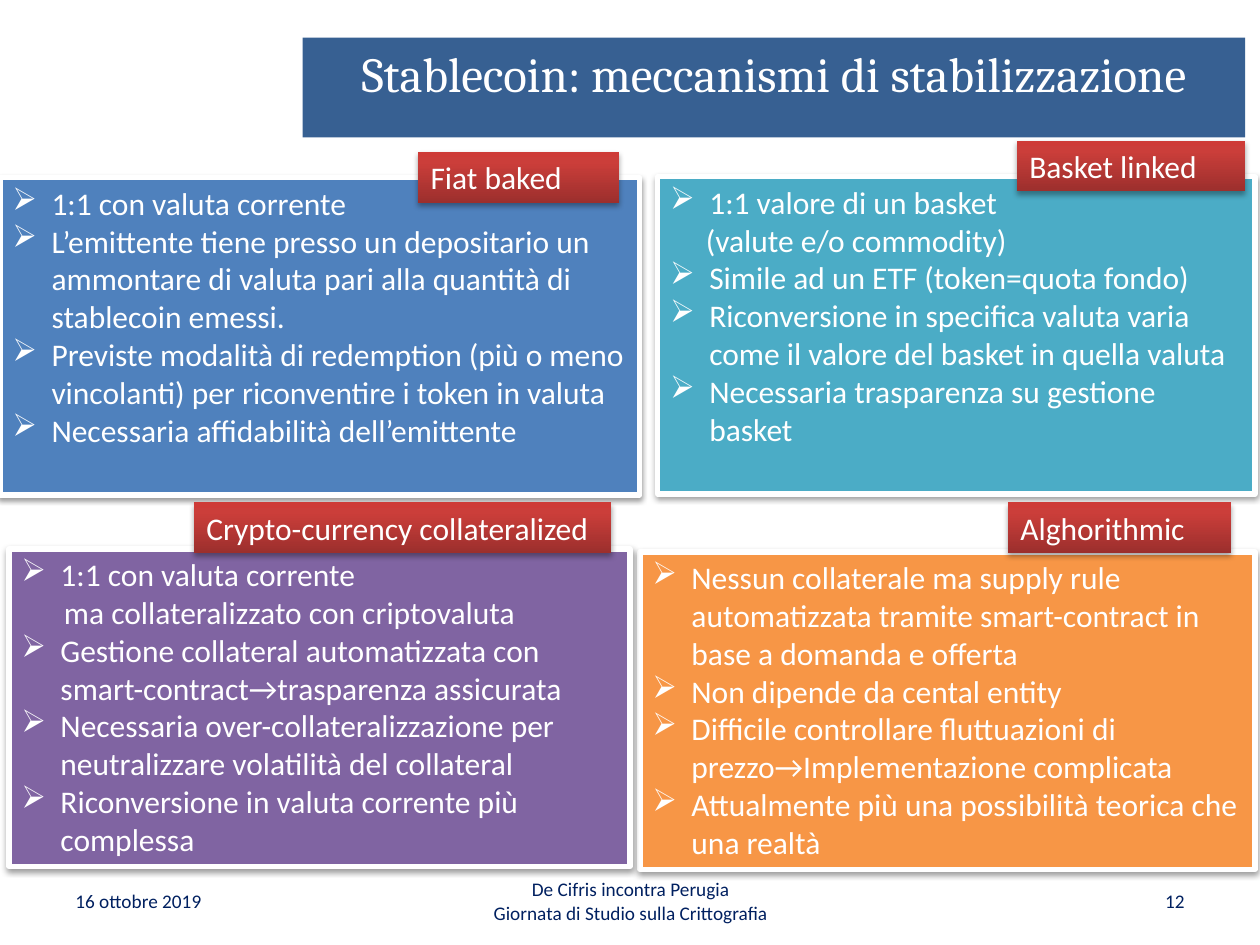
from dataclasses import dataclass

from pptx import Presentation
from pptx.dml.color import RGBColor
from pptx.enum.shapes import MSO_SHAPE
from pptx.enum.text import MSO_ANCHOR, PP_ALIGN
from pptx.oxml import parse_xml
from pptx.oxml.ns import nsdecls, qn
from pptx.util import Cm, Pt


@dataclass(frozen=True)
class Theme:
    white: str = "FFFFFF"
    navy: str = "002060"
    title: str = "376092"
    blue: str = "4F81BD"
    teal: str = "4BACC6"
    purple: str = "8064A2"
    orange: str = "F79646"
    tag_stops: tuple = ((0, "9C2F2D"), (80, "CB3E3A"), (100, "CE3B37"))
    heading_font: str = "Cambria"
    body_font: str = "Calibri"
    title_size: int = 28
    body_size: int = 18
    footer_size: int = 11


T = Theme()
BULLET_INDENT = Cm(0.79)


def add_line(tf, text, size, color, font=T.body_font, align=PP_ALIGN.LEFT):
    """Fill the first paragraph if it is still empty, otherwise add one."""
    p = tf.paragraphs[0]
    if p.runs:
        p = tf.add_paragraph()
    p.alignment = align
    r = p.add_run()
    r.text = text
    r.font.size = Pt(size)
    r.font.name = font
    r.font.color.rgb = RGBColor.from_string(color)
    return p


def add_box(left, top, width, height, fill=None, shadow=None):
    """Add a rectangle; shadow is (distance in EMU, opacity in percent)."""
    sp = s.shapes.add_shape(MSO_SHAPE.RECTANGLE, Cm(left), Cm(top), Cm(width), Cm(height))
    sp.line.fill.background()
    sp.shadow.inherit = False
    if fill:
        sp.fill.solid()
        sp.fill.fore_color.rgb = RGBColor.from_string(fill)
    if shadow:
        dist, opacity = shadow
        sp.element.spPr.find(qn("a:effectLst")).append(parse_xml(
            f'<a:outerShdw {nsdecls("a")} blurRad="40000" dist="{dist}" dir="5400000" '
            f'rotWithShape="0"><a:srgbClr val="000000"><a:alpha val="{opacity * 1000}"/>'
            '</a:srgbClr></a:outerShdw>'))
    sp.text_frame.word_wrap = True
    sp.text_frame.vertical_anchor = MSO_ANCHOR.TOP
    return sp


prs = Presentation()
prs.slide_width, prs.slide_height = Cm(25.4), Cm(19.05)
s = prs.slides.add_slide(prs.slide_layouts[6])

# Title
sp = add_box(6.1, 0.76, 19, 2.01, T.title)
add_line(sp.text_frame, "Stablecoin: meccanismi di stabilizzazione",
         T.title_size, T.white, T.heading_font, PP_ALIGN.CENTER)

# Footer
footers = [
    (1.27, 5.92, PP_ALIGN.LEFT, ["16 ottobre 2019"]),
    (8.69, 8.05, PP_ALIGN.CENTER,
     ["De Cifris incontra Perugia", "Giornata di Studio sulla Crittografia"]),
    (18.21, 5.92, PP_ALIGN.RIGHT, ["12"]),
]
for left, width, align, lines in footers:
    tf = s.shapes.add_textbox(Cm(left), Cm(17.65), Cm(width), Cm(1.02)).text_frame
    tf.word_wrap = True
    tf.vertical_anchor = MSO_ANCHOR.MIDDLE
    for line in lines:
        add_line(tf, line, T.footer_size, T.navy, align=align)

# Panels: a plain string is a bullet, a pair is an unbulleted line with its indent
panels = [
    (0, 3.58, 12.9, T.blue, [
        "1:1 con valuta corrente",
        "L’emittente tiene presso un depositario un ammontare di valuta pari alla "
        "quantità di stablecoin emessi.",
        "Previste modalità di redemption (più o meno vincolanti) per riconventire "
        "i token in valuta",
        "Necessaria affidabilità dell’emittente",
    ]),
    (12.9, 11.13, 12.4, T.orange, [
        "Nessun collaterale ma supply rule automatizzata tramite smart-contract in "
        "base a domanda e offerta",
        "Non dipende da cental entity",
        "Difficile controllare fluttuazioni di prezzo→Implementazione complicata",
        "Attualmente più una possibilità teorica che una realtà",
    ]),
    (0.18, 11.07, 12.52, T.purple, [
        "1:1 con valuta corrente",
        ("ma collateralizzato con criptovaluta", 0.86),
        "Gestione collateral automatizzata con smart-contract→trasparenza assicurata",
        "Necessaria over-collateralizzazione per neutralizzare volatilità del collateral",
        "Riconversione in valuta corrente più complessa",
    ]),
    (13.26, 3.56, 12.04, T.teal, [
        "1:1 valore di un basket",
        ("(valute e/o commodity)", 0.72),
        "Simile ad un ETF (token=quota fondo)",
        "Riconversione in specifica valuta varia come il valore del basket in quella valuta",
        "Necessaria trasparenza su gestione basket",
    ]),
]
for left, top, width, color, items in panels:
    sp = add_box(left, top, width, 6.4, color, shadow=(20000, 38))
    sp.line.color.rgb = RGBColor.from_string(T.white)
    sp.line.width = Pt(3)
    for item in items:
        bulleted = isinstance(item, str)
        text, indent = (item, None) if bulleted else item
        p = add_line(sp.text_frame, text, T.body_size, T.white)
        pPr = p._p.get_or_add_pPr()
        if bulleted:
            pPr.set("marL", str(BULLET_INDENT))
            pPr.set("indent", str(-BULLET_INDENT))
            pPr.append(parse_xml(f'<a:buChar {nsdecls("a")} char="➢"/>'))
        else:
            pPr.set("marL", str(Cm(indent)))

# Red tags over the panels
tags = [
    (8.43, 3.07, 4.06, "Fiat baked"),
    (20.5, 2.84, 4.6, "Basket linked"),
    (3.91, 10.13, 8.41, "Crypto-currency collateralized"),
    (20.32, 10.13, 4.5, "Alghorithmic"),
]
stops = "".join(f'<a:gs pos="{pos * 1000}"><a:srgbClr val="{color}"/></a:gs>'
                for pos, color in T.tag_stops)
for left, top, width, text in tags:
    sp = add_box(left, top, width, 1.02, shadow=(23000, 35))
    sp.element.spPr.find(qn("a:ln")).addprevious(parse_xml(
        f'<a:gradFill {nsdecls("a")} rotWithShape="1"><a:gsLst>{stops}</a:gsLst>'
        '<a:lin ang="16200000" scaled="0"/></a:gradFill>'))
    add_line(sp.text_frame, text, T.body_size, T.white)

prs.save("out.pptx")
